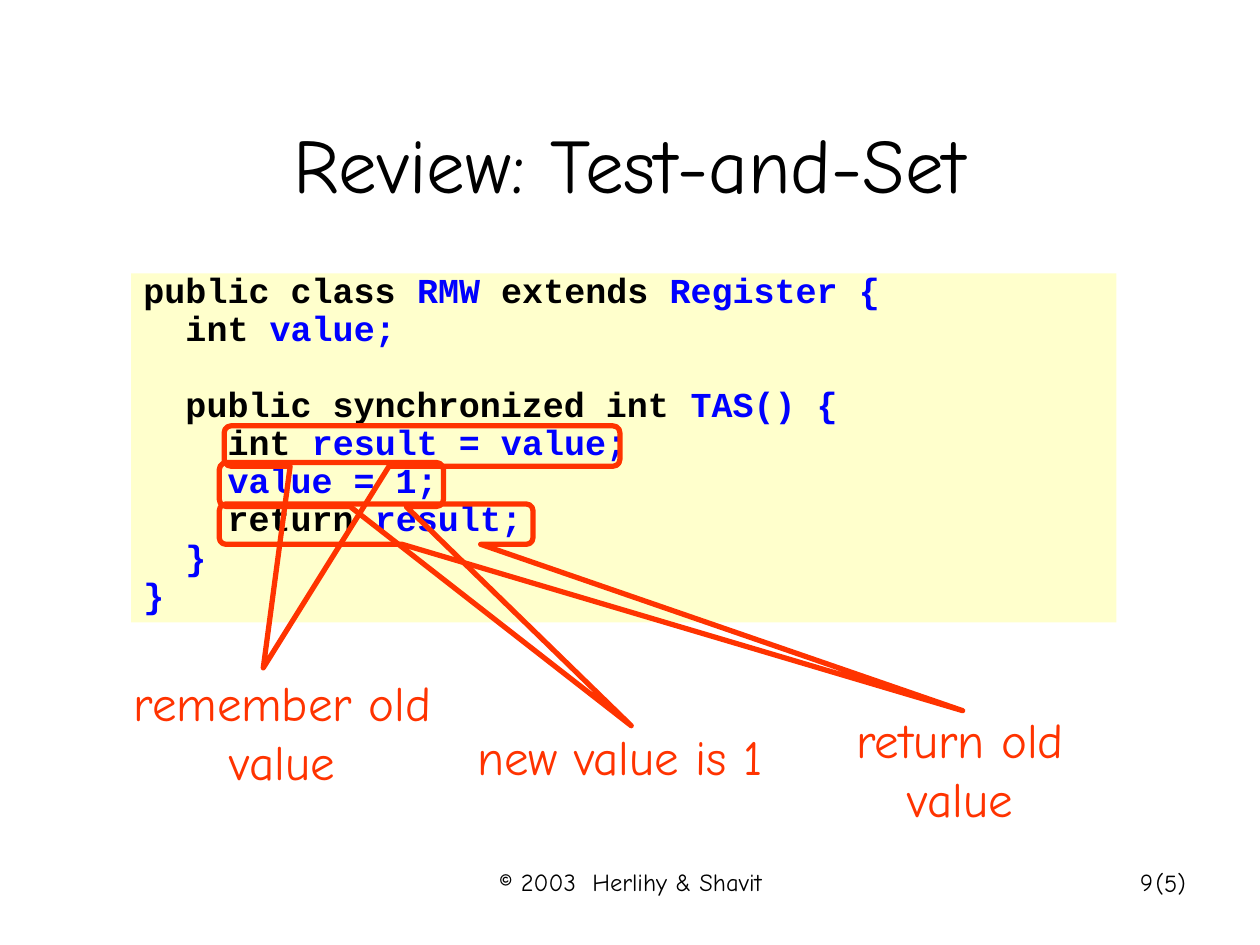
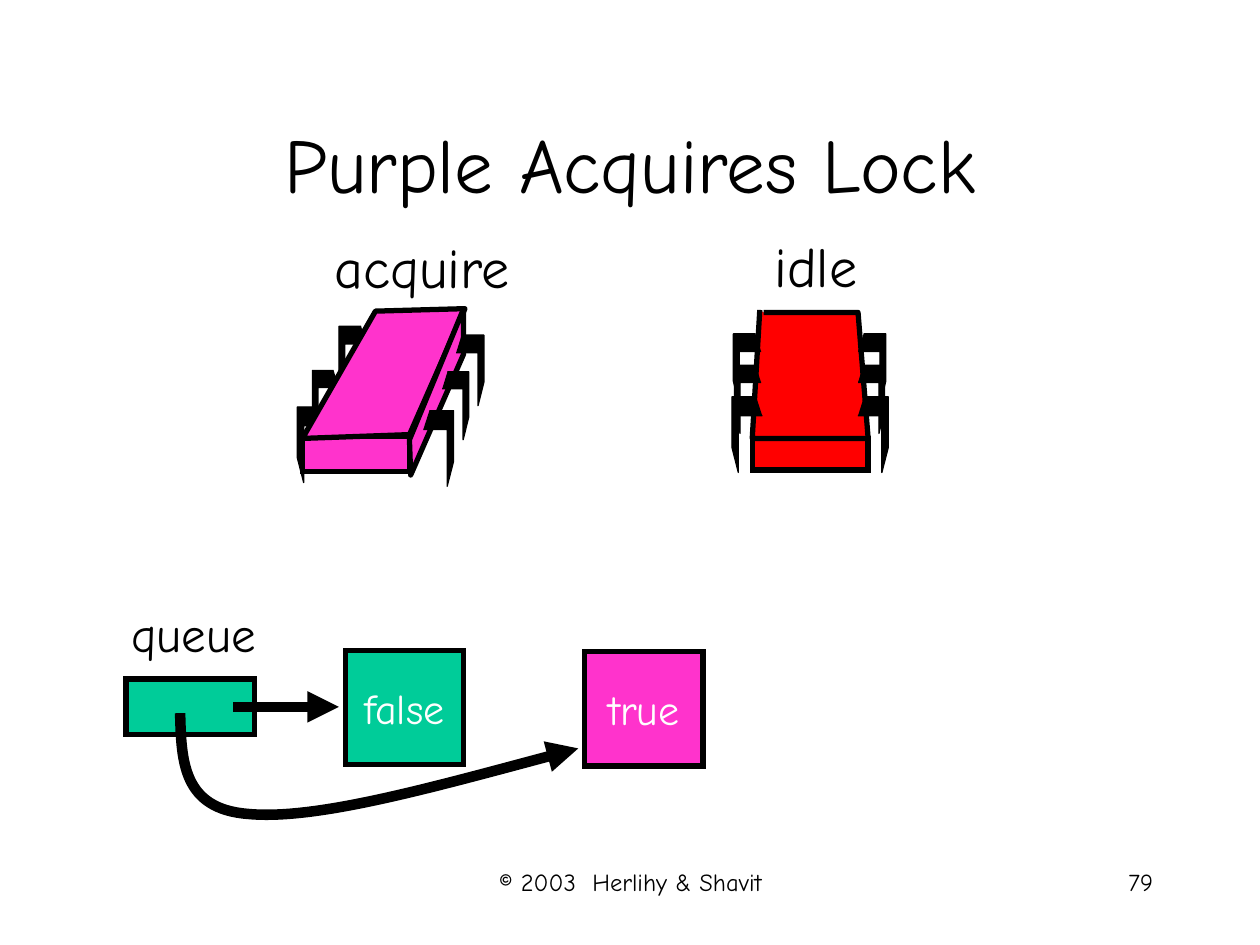
from lxml import etree
from pptx import Presentation
from pptx import util as u
from pptx.dml.color import RGBColor
from pptx.enum import shapes, text
from pptx.oxml import ns

COLORS = {"ink": "000000", "paper": "FFFFFF", "code": "FFFFCC", "name": "0000FF",
          "callout": "FF3300", "green": "00CC99", "purple": "FF33CC", "red": "FF0000"}
HAND, MONO = "Comic Neue", "Courier New"
CENTER, RIGHT = text.PP_ALIGN.CENTER, text.PP_ALIGN.RIGHT
RECT = shapes.MSO_SHAPE.RECTANGLE
LEG_SIZES = {"front": (0.24, 0.6), "middle": (0.21, 0.54), "back": (0.22, 0.56)}


def rgb(color):
    return RGBColor.from_string(COLORS[color])


def inches(*lengths):
    return [u.Inches(length) for length in lengths]


# Shared drawing helpers
def paint(shape, fill=None, line=None, width=3):
    shape.shadow.inherit = False
    if fill:
        shape.fill.solid()
        shape.fill.fore_color.rgb = rgb(fill)
    else:
        shape.fill.background()
    if line:
        shape.line.color.rgb = rgb(line)
        shape.line.width = u.Pt(width)
    else:
        shape.line.fill.background()


def add_span(para, words, size, color, font=HAND, bold=False):
    span = para.add_run()
    span.text = words
    span.font.name, span.font.size, span.font.bold = font, u.Pt(size), bold
    span.font.color.rgb = rgb(color)


def write(shape, words, size, color="ink", align=CENTER, wrap=True,
          anchor=text.MSO_ANCHOR.TOP):
    frame = shape.text_frame
    frame.word_wrap = wrap
    frame.auto_size = text.MSO_AUTO_SIZE.NONE
    frame.vertical_anchor = anchor
    para = frame.paragraphs[0]
    para.alignment = align
    add_span(para, words, size, color)


def add_label(parent, box, words, size, **style):
    write(parent.shapes.add_textbox(*inches(*box)), words, size, **style)


def add_line_part(shape, tag, **attributes):
    etree.SubElement(shape.line._get_or_add_ln(), ns.qn(tag), **attributes)


def add_rect(parent, box, fill, line="ink"):
    rect = parent.shapes.add_shape(RECT, *inches(*box))
    paint(rect, fill, line)
    add_line_part(rect, "a:miter", lim="800000")
    return rect


def add_outline(parent, points, fill, width=3, close=True):
    points = [inches(*point) for point in points]
    builder = parent.shapes.build_freeform(*points[0], scale=1.0)
    builder.add_line_segments(points[1:], close=close)
    outline = builder.convert_to_shape()
    paint(outline, fill, "ink", width)
    return outline


def add_arrowhead(shape):
    add_line_part(shape, "a:tailEnd", type="triangle")


def add_page(deck, title, number):
    page = deck.slides.add_slide(deck.slide_layouts[5])
    heading = page.shapes.title
    heading.left, heading.top, heading.width, heading.height = inches(0.75, 0.67, 8.5, 1.25)
    write(heading, title, 44, anchor=text.MSO_ANCHOR.MIDDLE)
    add_label(page, (3.42, 6.83, 3.17, 0.5), "© 2003  Herlihy & Shavit", 14)
    add_label(page, (7.17, 6.83, 2.08, 0.5), number, 14, align=RIGHT)
    return page


# Code panel: each line is a list of (words, color)
CODE = [
    [("public class", "ink"), (" RMW ", "name"), ("extends", "ink"), (" Register {", "name")],
    [("  int", "ink"), (" value;", "name")],
    [("  ", "name")],
    [("  public synchronized int", "ink"), (" TAS() {", "name")],
    [("    int", "ink"), (" result = value;", "name")],
    [("    value = 1;", "name")],
    [("    return", "ink"), (" result;", "name")],
    [("  }", "name")],
    [("}", "name")],
]


def add_code(page, box):
    panel = add_rect(page, box, "code", None)
    frame = panel.text_frame
    frame.word_wrap = True
    frame.vertical_anchor = text.MSO_ANCHOR.TOP
    frame.margin_top = u.Inches(0.05)
    for index, line in enumerate(CODE):
        para = frame.add_paragraph() if index else frame.paragraphs[0]
        para.alignment = text.PP_ALIGN.LEFT
        para.line_spacing = 0.7
        if index:
            para.space_before = u.Pt(5)
        for words, color in line:
            add_span(para, words, 20, color, MONO, bold=True)


def add_callout(page, box, tip, note, note_box):
    left, top, width, height = box
    callout = page.shapes.add_shape(shapes.MSO_SHAPE.ROUNDED_RECTANGULAR_CALLOUT, *inches(*box))
    paint(callout, line="callout")
    # The tip is measured from the centre, in widths and heights
    callout.adjustments[0] = (tip[0] - left) / width - 0.5
    callout.adjustments[1] = (tip[1] - top) / height - 0.5
    callout.adjustments[2] = 0.167
    add_label(page, note_box, note, 28, color="callout")


def build_review(deck):
    page = add_page(deck, "Review: Test-and-Set", "9")
    add_code(page, (1.04, 2.17, 7.82, 2.77))
    add_callout(page, (1.78, 3.38, 3.14, 0.32), (2.09, 5.3),
                "remember old value", (0.95, 5.29, 2.58, 1.04))
    add_callout(page, (1.74, 3.67, 1.78, 0.35), (5.01, 5.76),
                "new value is 1", (3.3, 5.72, 3.24, 0.57))
    add_callout(page, (1.74, 4, 2.49, 0.32), (7.64, 5.64),
                "return old value", (6.33, 5.58, 2.58, 1.04))
    add_label(page, (9.07, 6.84, 0.44, 0.34), "(5)", 14, align=RIGHT, wrap=False)


# Threads drawn as six-legged boxes
def add_leg(group, left, top, size, side):
    width, height = LEG_SIZES[size]
    profile = [(0.8, 0), (0, 0), (0, 0.67), (0.21, 1), (0.21, 0.25), (1, 0.25)]
    points = [(left + width * (x if side == "left" else 1 - x), top + height * y)
              for x, y in profile]
    add_outline(group, points, "ink", 0.75, close=False)


def add_thread(page, left, top, color, label, label_box, front, panels,
               far_legs, near_legs, close=True):
    group = page.shapes.add_group_shape()

    def place(x, y, *rest):
        return (left + x, top + y, *rest)

    add_rect(group, place(*front), color)
    for leg in far_legs:
        add_leg(group, *place(*leg))
    for panel in panels:
        add_outline(group, [place(*point) for point in panel], color, close=close)
    for leg in near_legs:
        add_leg(group, *place(*leg))
    add_label(group, place(*label_box), label, 32, wrap=False)


def add_curved_arrow(page, points):
    curve = add_outline(page, points, None, 6, close=False)
    # Every three line ends become the control points of one cubic curve
    path = curve._element.find(".//" + ns.qn("a:path"))
    lines = path.findall(ns.qn("a:lnTo"))
    for start in range(0, len(lines), 3):
        cubic = etree.SubElement(path, ns.qn("a:cubicBezTo"))
        for line in lines[start:start + 3]:
            cubic.append(line[0])
            path.remove(line)
    add_arrowhead(curve)


def add_straight_arrow(page, start, end):
    arrow = page.shapes.add_connector(shapes.MSO_CONNECTOR.STRAIGHT, *inches(*start, *end))
    arrow.line.color.rgb = rgb("ink")
    arrow.line.width = u.Pt(6)
    add_arrowhead(arrow)
    etree.SubElement(arrow._element.spPr, ns.qn("a:effectLst"))


def add_queue(page, left, top):
    add_rect(page, (left, top + 0.65, 1.02, 0.44), "green")
    for x, y, color, state in [(1.74, 0.42, "green", "false"), (3.64, 0.43, "purple", "true")]:
        node = add_rect(page, (left + x, top + y, 0.94, 0.91), color)
        write(node, state, 24, "paper", wrap=False, anchor=text.MSO_ANCHOR.MIDDLE)
    route = [(0.43, 0.92), (0.44, 1.3), (0.45, 1.68), (0.97, 1.72),
             (1.5, 1.77), (2.54, 1.48), (3.59, 1.2)]
    add_curved_arrow(page, [(left + x, top + y) for x, y in route])
    add_straight_arrow(page, (left + 0.85, top + 0.87), (left + 1.69, top + 0.87))
    add_label(page, (left - 0.06, top, 1.19, 0.57), "queue", 28, align=RIGHT, wrap=False)


def build_lock(deck):
    page = add_page(deck, "Purple Acquires Lock", "79")
    add_thread(
        page, 2.36, 1.8, "purple", "acquire", (0.19, 0, 1.6, 0.64),
        front=(0.04, 1.66, 0.85, 0.28),
        panels=[[(0.04, 1.68), (0.89, 1.65), (1.33, 0.65), (0.62, 0.67)],
                [(1.32, 0.65), (1.32, 1.01), (0.9, 1.97), (0.89, 1.69)]],
        far_legs=[(0, 1.43, "front", "left"), (0.12, 1.14, "middle", "left"),
                  (0.33, 0.79, "back", "left")],
        near_legs=[(1, 1.46, "front", "right"), (1.15, 1.15, "middle", "right"),
                   (1.26, 0.86, "back", "right")])
    red_legs = [(x, y, size, side)
                for side, offsets in [("right", (1, 1, 1)), ("left", (0, 0.02, 0.01))]
                for x, y, size in zip(offsets, (1.36, 1.11, 0.86), LEG_SIZES)]
    add_thread(
        page, 5.81, 1.79, "red", "idle", (0.24, 0, 0.85, 0.64),
        front=(0.16, 1.69, 0.92, 0.25),
        panels=[[(0.25, 0.69), (1, 0.69), (1.08, 1.69), (0.16, 1.69), (0.22, 0.67)]],
        far_legs=[], near_legs=red_legs, close=False)
    add_queue(page, 1, 4.74)


def main():
    deck = Presentation()
    deck.slide_width, deck.slide_height = inches(10, 7.5)
    build_review(deck)
    build_lock(deck)
    deck.save("out.pptx")


if __name__ == "__main__":
    main()
